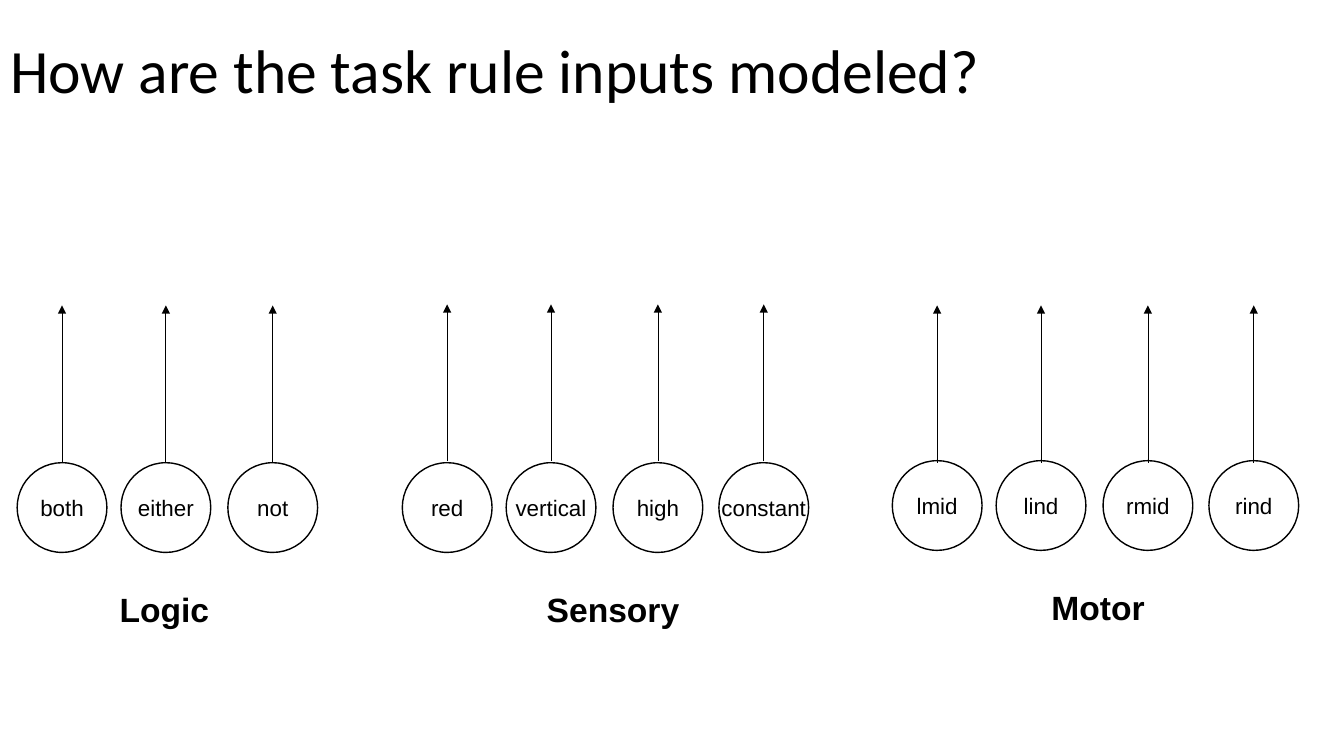
import pptx
import pptx.dml.color
import pptx.enum.shapes
import pptx.enum.text
import pptx.oxml
import pptx.oxml.ns
import pptx.util

Inches = pptx.util.Inches
Pt = pptx.util.Pt
ALIGN = pptx.enum.text.PP_ALIGN
INK = "000000"
CIRCLE = 0.89
OFFSETS = [0, 1.03, 2.09, 3.14]
LABEL_DROP = 1.2
LABEL_HEIGHT = 0.5

GROUPS = [
    {"label": "Logic", "rules": ["both", "either", "not"],
     "box": (0.17, 4.59, 2.98), "label_center": 1.63, "arrow": (4.59, 3.03)},
    {"label": "Sensory", "rules": ["red", "vertical", "high", "constant"],
     "box": (3.99, 4.59, 4.03), "label_center": 6.08, "arrow": (4.57, 3.02)},
    {"label": "Motor", "rules": ["lmid", "lind", "rmid", "rind"],
     "box": (8.85, 4.57, 4.03), "label_center": 10.89, "arrow": (4.59, 3.03)},
]


def color(hex_string):
    return pptx.dml.color.RGBColor.from_string(hex_string)


def write(shape, text, size, font="Arial", bold=False, align=ALIGN.CENTER,
          inset=0.0, wrap=False, spacing=1.0):
    frame = shape.text_frame
    frame.auto_size = pptx.enum.text.MSO_AUTO_SIZE.NONE
    frame.word_wrap = wrap
    frame.vertical_anchor = pptx.enum.text.MSO_ANCHOR.MIDDLE
    frame.margin_left = frame.margin_right = Inches(inset)
    frame.margin_top = frame.margin_bottom = Inches(inset / 2)
    para = frame.paragraphs[0]
    para.alignment = align
    para.line_spacing = spacing
    span = para.add_run()
    span.text = text
    span.font.size = Pt(size)
    span.font.name = font
    span.font.bold = bold
    span.font.color.rgb = color(INK)


def add_title(page, text, box):
    title = page.shapes.title
    title.left, title.top, title.width, title.height = map(Inches, box)
    write(title, text, 44, font="Calibri", align=ALIGN.LEFT, inset=0.1,
          wrap=True, spacing=0.9)


def add_arrow(page, center, start, end):
    arrow = page.shapes.add_connector(
        pptx.enum.shapes.MSO_CONNECTOR.STRAIGHT,
        Inches(center), Inches(start), Inches(center), Inches(end))
    arrow.line.color.rgb = color(INK)
    arrow.line.width = Pt(0.5)
    head = pptx.oxml.parse_xml(
        f'<a:tailEnd {pptx.oxml.ns.nsdecls("a")} type="triangle"/>')
    arrow.line._get_or_add_ln().append(head)
    properties = arrow._element.spPr
    properties.append(pptx.oxml.parse_xml(
        f'<a:effectLst {pptx.oxml.ns.nsdecls("a")}/>'))


def add_rule(page, text, left, top):
    circle = page.shapes.add_shape(
        pptx.enum.shapes.MSO_SHAPE.OVAL,
        Inches(left), Inches(top), Inches(CIRCLE), Inches(CIRCLE))
    circle.shadow.inherit = False
    circle.fill.background()
    circle.line.color.rgb = color(INK)
    circle.line.width = Pt(1)
    write(circle, text, 16)


def add_group(page, label, rules, box, label_center, arrow):
    left, top, width = box
    for offset, rule in zip(OFFSETS, rules):
        add_rule(page, rule, left + offset, top)
        add_arrow(page, left + offset + CIRCLE / 2, *arrow)
    caption = page.shapes.add_textbox(
        Inches(label_center - width / 2), Inches(top + LABEL_DROP),
        Inches(width), Inches(LABEL_HEIGHT))
    write(caption, label, 24, bold=True)


deck = pptx.Presentation()
deck.slide_width = Inches(13.33)
deck.slide_height = Inches(7.5)
page = deck.slides.add_slide(deck.slide_layouts.get_by_name("Title Only"))
add_title(page, "How are the task rule inputs modeled?", (0, 0, 11.5, 1.45))
for group in GROUPS:
    add_group(page, **group)
deck.save("out.pptx")
